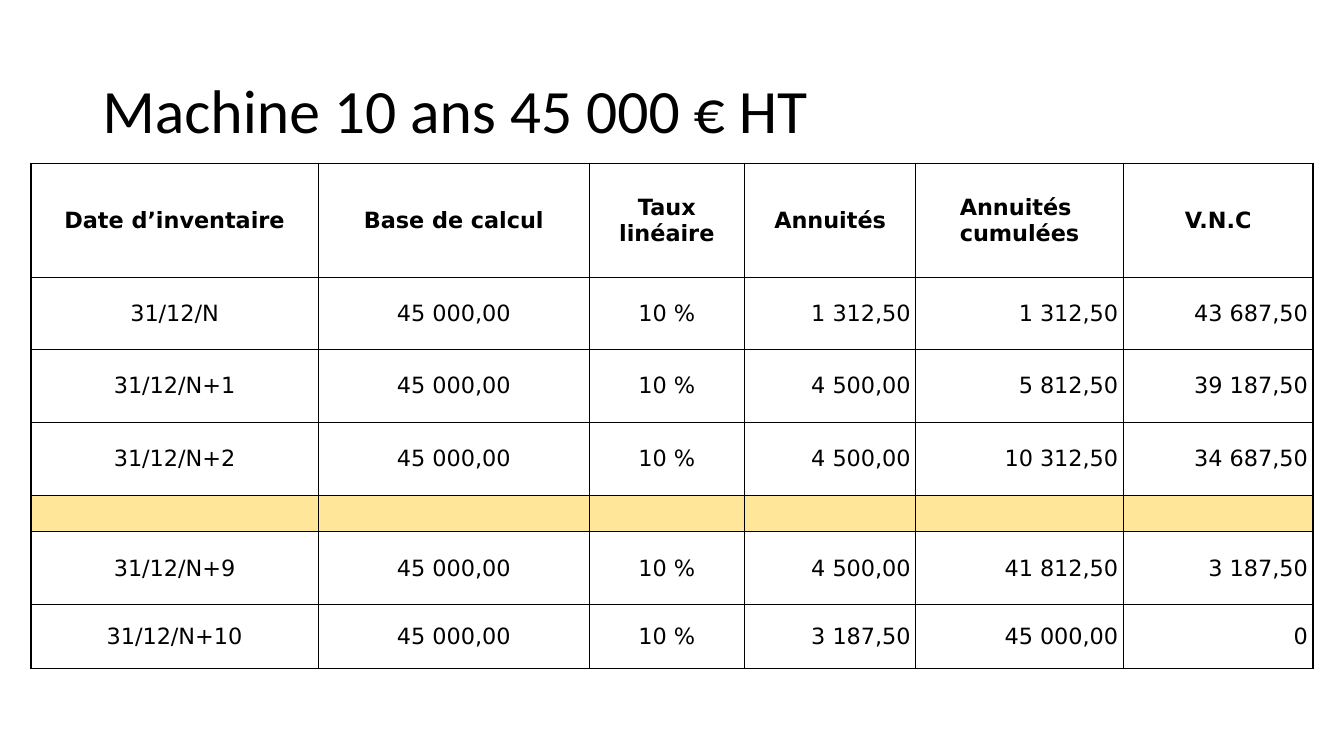
from lxml import etree
from pptx import Presentation
from pptx.dml.color import RGBColor
from pptx.enum.text import MSO_ANCHOR, PP_ALIGN
from pptx.oxml.ns import qn
from pptx.util import Cm, Pt

LEFT, CENTER, RIGHT = PP_ALIGN.LEFT, PP_ALIGN.CENTER, PP_ALIGN.RIGHT
MIDDLE = MSO_ANCHOR.MIDDLE

TITLE = "Machine 10 ans 45 000 € HT"
HEADERS = ["Date d’inventaire", "Base de calcul", "Taux\nlinéaire",
           "Annuités", "Annuités \vcumulées", "V.N.C"]
BASE, RATE = "45 000,00", "10 %"
YEARS = [
    ("31/12/N", "1 312,50", "1 312,50", "43 687,50"),
    ("31/12/N+1", "4 500,00", "5 812,50", "39 187,50"),
    ("31/12/N+2", "4 500,00", "10 312,50", "34 687,50"),
    None,
    ("31/12/N+9", "4 500,00", "41 812,50", "3 187,50"),
    ("31/12/N+10", "3 187,50", "45 000,00", "0"),
]
COLUMN_WIDTHS = [7.24, 6.83, 3.91, 4.32, 5.23, 4.78]
ROW_HEIGHTS = [2.87, 1.81, 1.84, 1.84, 0.92, 1.84, 1.6]
ALIGNMENTS = [CENTER, CENTER, CENTER, RIGHT, RIGHT, RIGHT]
BLACK, WHITE, GAP_FILL = "000000", "FFFFFF", "FFE699"


def color(code):
    return RGBColor.from_string(code)


def write(frame, text, font="DejaVu Sans", size=16, bold=False, align=LEFT, spacing=None):
    for index, line in enumerate(text.split("\n")):
        para = frame.add_paragraph() if index else frame.paragraphs[0]
        para.text = line
        para.alignment = align
        para.line_spacing = spacing
        for span in para.runs:
            span.font.name = font
            span.font.size = Pt(size)
            span.font.bold = bold
            span.font.color.rgb = color(BLACK)


def style_cell(cell, fill):
    cell.vertical_anchor = MIDDLE
    cell.margin_left = cell.margin_right = Cm(0.13)
    cell.margin_top = cell.margin_bottom = 0
    properties = cell._tc.get_or_add_tcPr()
    for side in ("a:lnL", "a:lnR", "a:lnT", "a:lnB"):
        border = etree.SubElement(properties, qn(side), w=str(Pt(1)))
        solid = etree.SubElement(border, qn("a:solidFill"))
        etree.SubElement(solid, qn("a:srgbClr"), val=BLACK)
    cell.fill.solid()
    cell.fill.fore_color.rgb = color(fill)


deck = Presentation()
deck.slide_width, deck.slide_height = Cm(33.87), Cm(19.05)
page = deck.slides.add_slide(deck.slide_layouts[6])

box = page.shapes.add_textbox(Cm(2.33), Cm(1.01), Cm(29.21), Cm(3.68))
box.text_frame.word_wrap = True
box.text_frame.vertical_anchor = MIDDLE
write(box.text_frame, TITLE, font="Calibri", size=44, spacing=0.9)

rows = [HEADERS]
for year in YEARS:
    rows.append([year[0], BASE, RATE, *year[1:]] if year else None)

table = page.shapes.add_table(
    len(rows), len(HEADERS), Cm(0.78), Cm(4.12),
    Cm(sum(COLUMN_WIDTHS)), Cm(sum(ROW_HEIGHTS))).table
table.first_row = table.horz_banding = False
for column, width in zip(table.columns, COLUMN_WIDTHS):
    column.width = Cm(width)
for row, height in zip(table.rows, ROW_HEIGHTS):
    row.height = Cm(height)

for row_index, values in enumerate(rows):
    is_header = row_index == 0
    for column_index, align in enumerate(ALIGNMENTS):
        cell = table.cell(row_index, column_index)
        style_cell(cell, WHITE if values else GAP_FILL)
        if values:
            write(cell.text_frame, values[column_index], bold=is_header,
                  align=CENTER if is_header else align)

deck.save("out.pptx")
